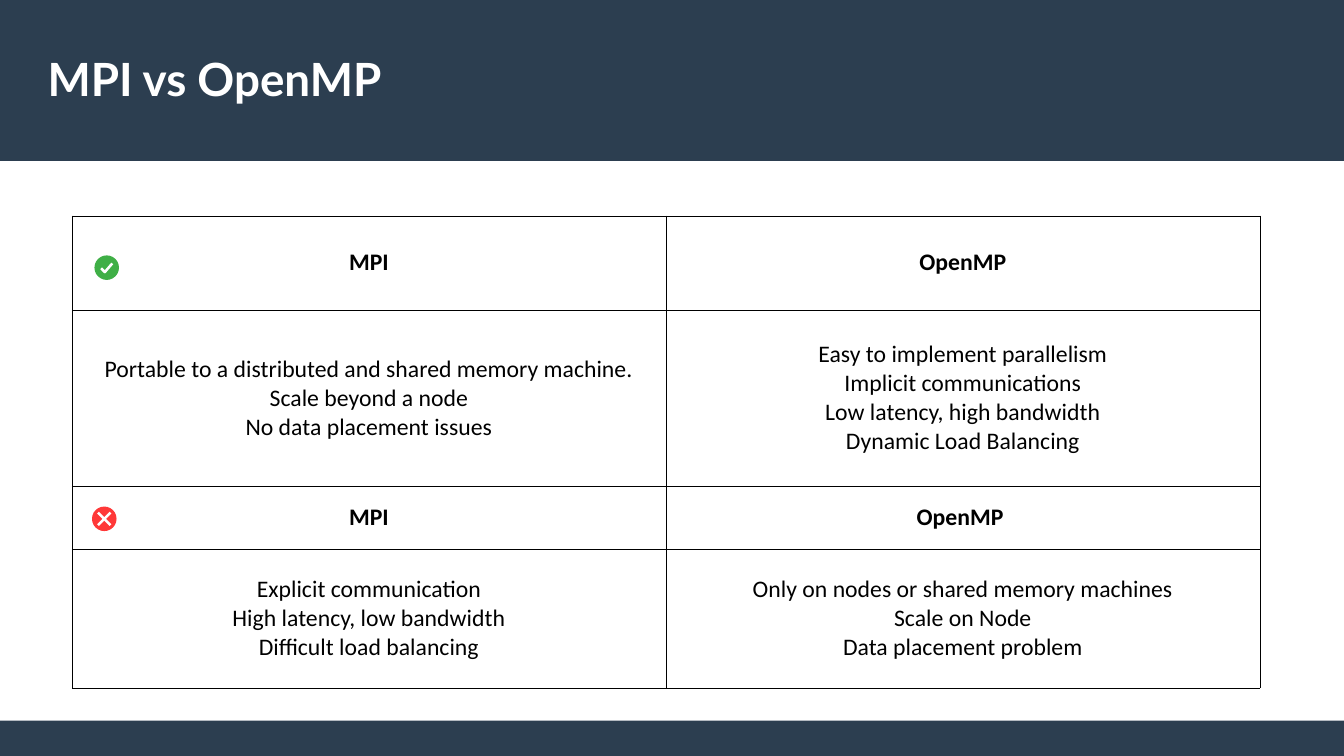
import pptx
import pptx.dml.color
import pptx.enum.shapes
import pptx.enum.text
import pptx.oxml
import pptx.oxml.ns
import pptx.util

WIDE, HIGH = 11.02, 6.2
HEX = {"navy": "2C3E50", "white": "FFFFFF", "black": "000000",
       "green": "3FAF46", "red": "FF3838"}
COLS = [4.87, 4.87]
ROWS = [0.77, 1.45, 0.51, 1.14]
CELLS = [
    [["MPI"], ["OpenMP"]],
    [["Portable to a distributed and shared memory machine.",
      "Scale beyond a node", "No data placement issues"],
     ["Easy to implement parallelism", "Implicit communications",
      "Low latency, high bandwidth", "Dynamic Load Balancing"]],
    [["MPI"], ["OpenMP "]],
    [["Explicit communication", "High latency, low bandwidth",
      "Difficult load balancing"],
     ["Only on nodes or shared memory machines", "Scale on Node",
      "Data placement problem"]],
]
TICK = [[(0.26, 0.53), (0.42, 0.69), (0.74, 0.32)]]
CROSS = [[(0.23, 0.77), (0.77, 0.23)], [(0.77, 0.77), (0.23, 0.23)]]


def tint(name):
    """Return the named colour."""
    return pptx.dml.color.RGBColor.from_string(HEX[name])


def inch(*sizes):
    """Turn numbers into inch lengths."""
    return [pptx.util.Inches(size) for size in sizes]


def add_solid(slide, kind, box, hue):
    """Add a plain filled shape."""
    shape = slide.shapes.add_shape(kind, *inch(*box))
    shape.shadow.inherit = False
    shape.fill.solid()
    shape.fill.fore_color.rgb = tint(hue)
    shape.line.fill.background()
    return shape


def add_bars(slide, head, foot):
    """Draw the bands at the top and foot of the slide."""
    for top, tall in ((0, head), (HIGH - foot, foot)):
        add_solid(slide, pptx.enum.shapes.MSO_SHAPE.RECTANGLE,
                  (0, top, WIDE, tall), "navy")


def set_title(slide, box, text):
    """Place and format the title above the top band."""
    title = slide.shapes.title
    title.element.getparent().append(title.element)
    title.left, title.top, title.width, title.height = inch(*box)
    frame = title.text_frame
    frame.text = text
    frame.word_wrap = True
    frame.auto_size = pptx.enum.text.MSO_AUTO_SIZE.NONE
    frame.vertical_anchor = pptx.enum.text.MSO_ANCHOR.MIDDLE
    frame.margin_left = frame.margin_right = 0
    frame.margin_top = frame.margin_bottom = 0
    para = frame.paragraphs[0]
    para.alignment = pptx.enum.text.PP_ALIGN.LEFT
    para.font.name, para.font.size = "Lato", pptx.util.Pt(27)
    para.font.bold = True
    para.font.color.rgb = tint("white")


def set_edges(cell):
    """Give a cell thin black borders."""
    props = cell._tc.get_or_add_tcPr()
    for spot, side in enumerate("LRTB"):
        props.insert(spot, pptx.oxml.parse_xml(
            f'<a:ln{side} {pptx.oxml.ns.nsdecls("a")} w="{pptx.util.Pt(0.06)}">'
            f'<a:solidFill><a:srgbClr val="{HEX["black"]}"/></a:solidFill>'
            f'</a:ln{side}>'))


def fill_cell(cell, lines, bold):
    """Write centred lines in a white cell."""
    cell.fill.solid()
    cell.fill.fore_color.rgb = tint("white")
    set_edges(cell)
    cell.vertical_anchor = pptx.enum.text.MSO_ANCHOR.MIDDLE
    cell.text_frame.text = "\n".join(lines)
    for para in cell.text_frame.paragraphs:
        para.alignment = pptx.enum.text.PP_ALIGN.CENTER
        para.font.name, para.font.size = "Calibri", pptx.util.Pt(14)
        para.font.bold = bold
        para.font.color.rgb = tint("black")


def add_grid(slide, left, top):
    """Build the table, with each heading row over its points."""
    box = inch(left, top, sum(COLS), sum(ROWS))
    table = slide.shapes.add_table(len(ROWS), len(COLS), *box).table
    table.first_row = table.horz_banding = False
    for col, width in zip(table.columns, inch(*COLS)):
        col.width = width
    for row, height in zip(table.rows, inch(*ROWS)):
        row.height = height
    for r, row in enumerate(CELLS):
        for c, lines in enumerate(row):
            fill_cell(table.cell(r, c), lines, r % 2 == 0)


def add_badge(slide, left, top, side, hue, strokes):
    """Draw a round badge with white strokes given as shares of it."""
    disc = add_solid(slide, pptx.enum.shapes.MSO_SHAPE.OVAL,
                     (left, top, side, side), hue)
    disc.line.color.rgb = tint(hue)
    disc.line.width = pptx.util.Pt(0.79)
    for stroke in strokes:
        dots = [inch(left + x * side, top + y * side) for x, y in stroke]
        pen = slide.shapes.build_freeform(*dots[0])
        pen.add_line_segments(dots[1:], close=False)
        mark = pen.convert_to_shape()
        mark.shadow.inherit = False
        mark.fill.background()
        mark.line.color.rgb = tint("white")
        mark.line.width = pptx.util.Pt(1.5)


def main():
    """Build and save the slide."""
    deck = pptx.Presentation()
    deck.slide_width, deck.slide_height = inch(WIDE, HIGH)
    slide = deck.slides.add_slide(deck.slide_layouts[5])
    add_bars(slide, 1.32, 0.29)
    set_title(slide, (0.39, 0.25, 10.23, 0.78), "MPI vs OpenMP")
    add_grid(slide, 0.59, 1.77)
    add_badge(slide, 0.78, 2.1, 0.19, "green", TICK)
    add_badge(slide, 0.76, 4.16, 0.19, "red", CROSS)
    deck.save("out.pptx")


if __name__ == "__main__":
    main()
